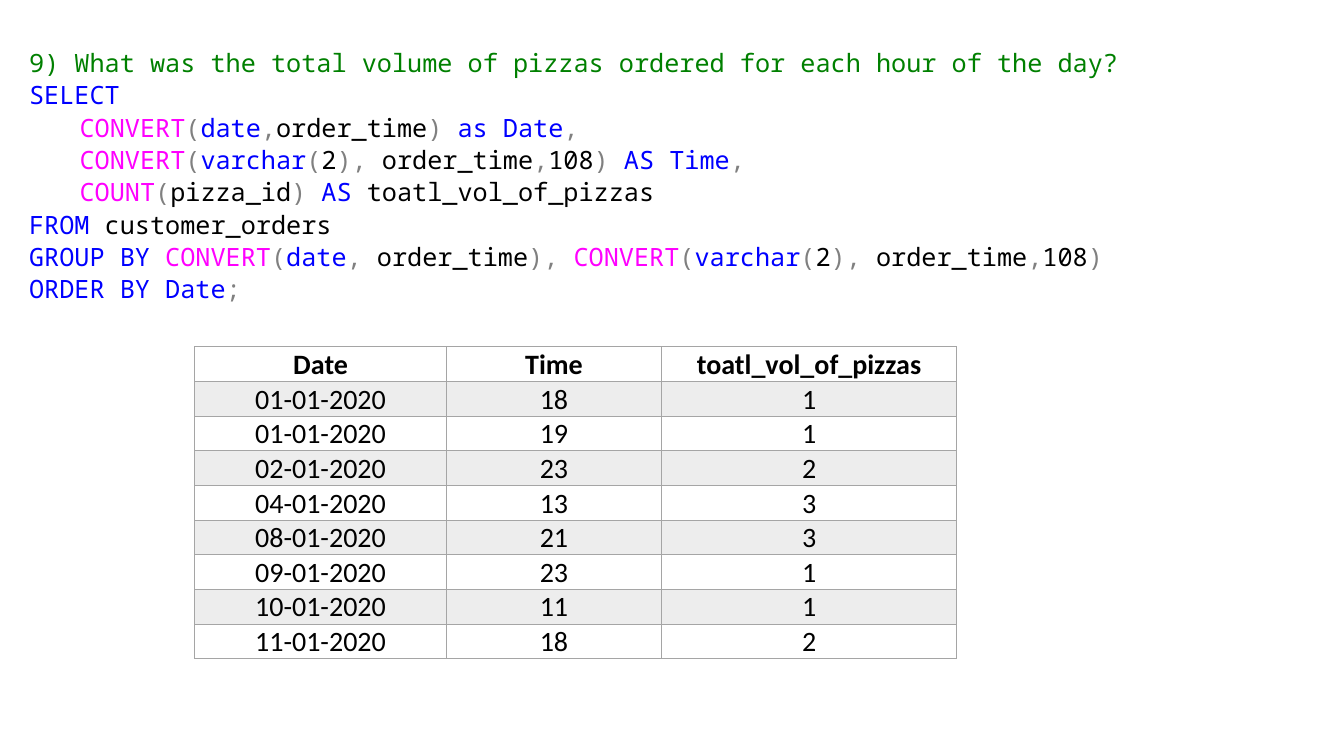
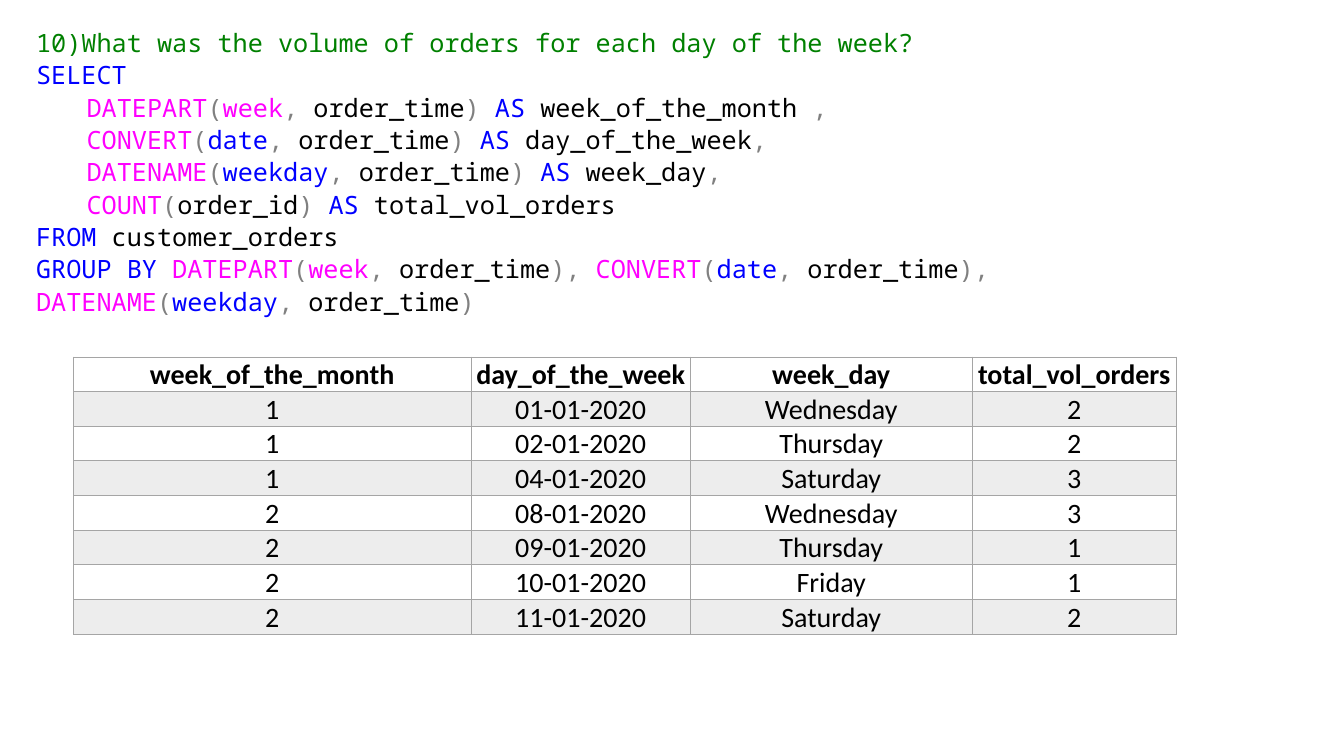
"""Build two slides that pair an SQL query with its result table."""
from itertools import groupby

from lxml import etree
from pptx import Presentation
from pptx.dml.color import RGBColor
from pptx.enum.text import MSO_ANCHOR, MSO_AUTO_SIZE, PP_ALIGN
from pptx.oxml.ns import qn
from pptx.util import Inches, Pt

CENTER = PP_ALIGN.CENTER
BOTTOM = MSO_ANCHOR.BOTTOM
GROW = MSO_AUTO_SIZE.SHAPE_TO_FIT_TEXT

GREEN = RGBColor(0x00, 0x80, 0x00)
BLUE = RGBColor(0x00, 0x00, 0xFF)
PINK = RGBColor(0xFF, 0x00, 0xFF)
GREY = RGBColor(0x80, 0x80, 0x80)
BLACK = RGBColor(0x00, 0x00, 0x00)
BAND = RGBColor(0xED, 0xED, 0xED)
BORDER = RGBColor(0xA5, 0xA5, 0xA5)

CODE_FONT, TABLE_FONT = "Noto Sans Mono", "Calibri"
ROW_HEIGHT = 0.34
BORDER_WIDTH = Pt(0.5)

WORD_COLORS = {
    **dict.fromkeys(("CONVERT", "COUNT", "DATEPART", "DATENAME", "week"), PINK),
    **dict.fromkeys(("SELECT", "FROM", "GROUP", "ORDER", "BY", "AS", "as", "Date",
                     "Time", "date", "varchar", "weekday"), BLUE),
}

SLIDES = [
    {
        "question": "9) What was the total volume of pizzas ordered for each hour of the day?",
        "query": [
            "SELECT",
            "\tCONVERT(date,order_time) as Date,",
            "\tCONVERT(varchar(2), order_time,108) AS Time,",
            "\tCOUNT(pizza_id) AS toatl_vol_of_pizzas",
            "FROM customer_orders",
            "GROUP BY CONVERT(date, order_time), CONVERT(varchar(2), order_time,108)",
            "ORDER BY Date;",
        ],
        "query_box": (0.19, 0.4, 11.75, 2.69),
        "table_at": (1.93, 3.44),
        "columns": (2.5, 2.13, 2.93),
        "rows": [
            ("Date", "Time", "toatl_vol_of_pizzas"),
            ("01-01-2020", "18", "1"),
            ("01-01-2020", "19", "1"),
            ("02-01-2020", "23", "2"),
            ("04-01-2020", "13", "3"),
            ("08-01-2020", "21", "3"),
            ("09-01-2020", "23", "1"),
            ("10-01-2020", "11", "1"),
            ("11-01-2020", "18", "2"),
        ],
    },
    {
        "question": "10)What was the volume of orders for each day of the week?",
        "query": [
            "SELECT",
            "\tDATEPART(week, order_time) AS week_of_the_month ,",
            "\tCONVERT(date, order_time) AS day_of_the_week,",
            "\tDATENAME(weekday, order_time) AS week_day,",
            "\tCOUNT(order_id) AS total_vol_orders",
            "FROM customer_orders",
            "GROUP BY DATEPART(week, order_time), CONVERT(date, order_time), "
            "DATENAME(weekday, order_time)",
        ],
        "query_box": (0.26, 0.2, 12.31, 3.02),
        "table_at": (0.73, 3.54),
        "columns": (3.94, 2.18, 2.79, 2.03),
        "rows": [
            ("week_of_the_month", "day_of_the_week", "week_day", "total_vol_orders"),
            ("1", "01-01-2020", "Wednesday", "2"),
            ("1", "02-01-2020", "Thursday", "2"),
            ("1", "04-01-2020", "Saturday", "3"),
            ("2", "08-01-2020", "Wednesday", "3"),
            ("2", "09-01-2020", "Thursday", "1"),
            ("2", "10-01-2020", "Friday", "1"),
            ("2", "11-01-2020", "Saturday", "2"),
        ],
    },
]


def is_word_char(char):
    """Tell whether a character belongs to an SQL word."""
    return char.isalnum() or char == "_"


def color_runs(line):
    """Split a line of SQL into text and colour pairs."""
    runs = []
    for is_word, chars in groupby(line, is_word_char):
        text = "".join(chars)
        color = WORD_COLORS.get(text, BLACK) if is_word else GREY
        if runs and (text.isspace() or runs[-1][1] == color):
            runs[-1] = (runs[-1][0] + text, runs[-1][1])
        else:
            runs.append((text, color))
    return runs


def add_query(slide, question, query, box):
    """Add the question and its highlighted SQL in one text box."""
    tf = slide.shapes.add_textbox(*map(Inches, box)).text_frame
    tf.word_wrap = True
    tf.auto_size = GROW
    lines = [[(question, GREEN)]] + [color_runs(line) for line in query]
    for i, runs in enumerate(lines):
        p = tf.add_paragraph() if i else tf.paragraphs[0]
        p.line_spacing = 1.07
        p.font.name = CODE_FONT
        p.font.size = Pt(18)
        for text, color in runs:
            r = p.add_run()
            r.text = text
            r.font.color.rgb = color


def add_borders(cell):
    """Draw a thin line on all four sides of a cell."""
    tc_pr = cell._tc.get_or_add_tcPr()
    for side in ("a:lnL", "a:lnR", "a:lnT", "a:lnB"):
        ln = etree.SubElement(tc_pr, qn(side), w=str(BORDER_WIDTH))
        fill = etree.SubElement(ln, qn("a:solidFill"))
        etree.SubElement(fill, qn("a:srgbClr"), val=str(BORDER))


def format_cell(cell, text, is_header, is_band):
    """Fill in and style one table cell."""
    cell.text = text
    cell.vertical_anchor = BOTTOM
    cell.margin_left = cell.margin_top = cell.margin_right = Inches(0.01)
    cell.margin_bottom = 0
    p = cell.text_frame.paragraphs[0]
    p.alignment = CENTER
    p.font.name = TABLE_FONT
    p.font.size = Pt(20)
    p.font.bold = is_header
    p.font.color.rgb = BLACK
    add_borders(cell)
    if is_band:
        cell.fill.solid()
        cell.fill.fore_color.rgb = BAND
    else:
        cell.fill.background()


def add_result(slide, rows, columns, at):
    """Add the result table with every second row shaded."""
    size = (sum(columns), ROW_HEIGHT * len(rows))
    table = slide.shapes.add_table(
        len(rows), len(columns), *map(Inches, at + size)).table
    table.first_row = table.horz_banding = False
    for column, width in zip(table.columns, columns):
        column.width = Inches(width)
    for i, row in enumerate(rows):
        table.rows[i].height = Inches(ROW_HEIGHT)
        for j, text in enumerate(row):
            format_cell(table.cell(i, j), text, i == 0, i % 2 == 1)


prs = Presentation()
prs.slide_width, prs.slide_height = Inches(13.33), Inches(7.5)
blank = prs.slide_layouts.get_by_name("Blank")
for content in SLIDES:
    s = prs.slides.add_slide(blank)
    add_query(s, content["question"], content["query"], content["query_box"])
    add_result(s, content["rows"], content["columns"], content["table_at"])
prs.save("out.pptx")
